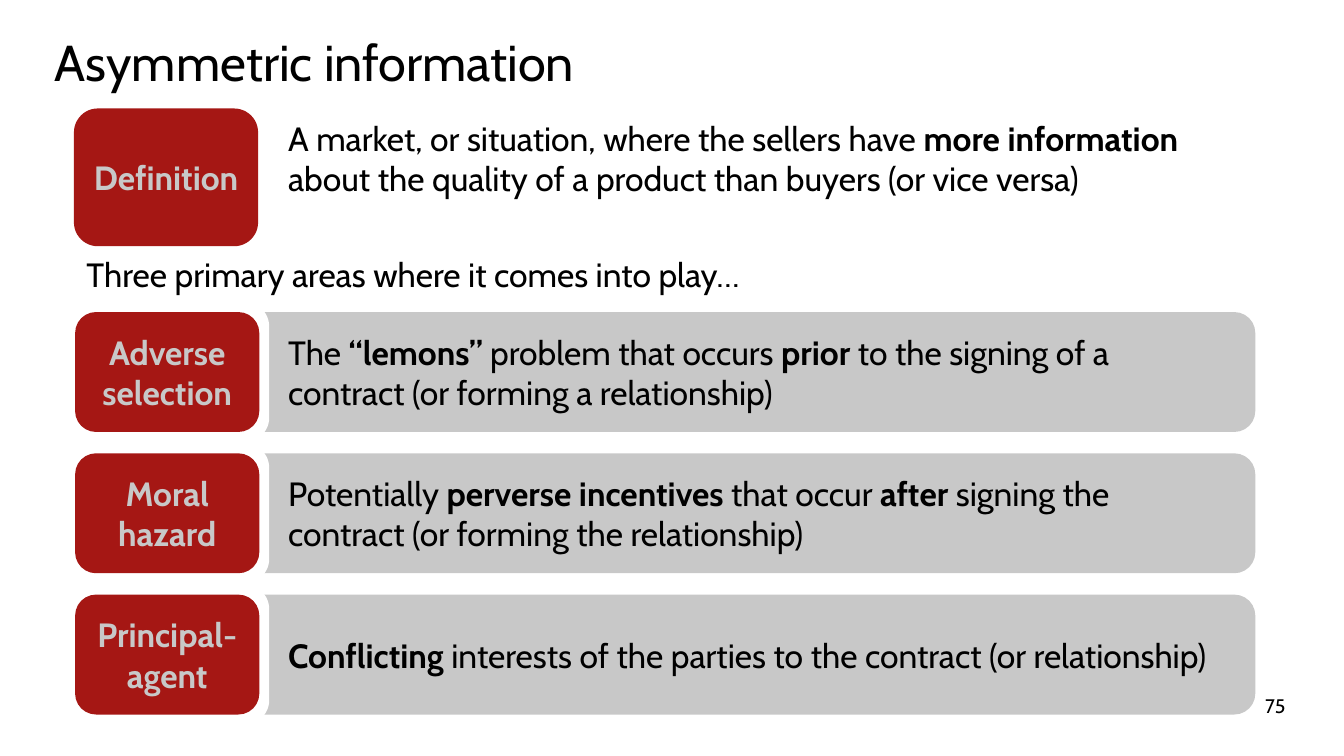
from pptx import Presentation
from pptx.dml.color import RGBColor
from pptx.enum.shapes import MSO_SHAPE
from pptx.enum.text import MSO_ANCHOR, PP_ALIGN
from pptx.util import Cm, Pt

ROUNDED = MSO_SHAPE.ROUNDED_RECTANGLE
MIDDLE, TOP = MSO_ANCHOR.MIDDLE, MSO_ANCHOR.TOP
LEFT, CENTER, RIGHT = PP_ALIGN.LEFT, PP_ALIGN.CENTER, PP_ALIGN.RIGHT

FONT = "Cabin"
BLACK, WHITE, GREY, RED = "000000", "FFFFFF", "C8C8C8", "A51714"

LABEL_LEFT, LABEL_WIDTH = 1.93, 4.57
BAR_LEFT, BAR_WIDTH, BAR_HEIGHT = 5.51, 26.09, 2.95
TEXT_LEFT, TEXT_WIDTH, TEXT_HEIGHT = 7.01, 24.16, 2.31
FIRST_BAR_TOP, BAR_PITCH = 7.9, 3.56
HALO = 0.25

AREAS = [
    ("Adverse selection",
     "The *“lemons” *problem that occurs *prior *to the signing of a "
     "contract (or forming a relationship)"),
    ("Moral hazard",
     "Potentially *perverse incentives *that occur *after *signing the "
     "contract (or forming the relationship)"),
    ("Principal-agent",
     "*Conflicting *interests of the parties to the contract (or relationship)"),
]


def rgb(hex_color):
    return RGBColor.from_string(hex_color)


def write(shape, text, size=24, color=BLACK, align=LEFT, anchor=TOP):
    """Fill a shape with one paragraph; asterisks switch bold on and off."""
    frame = shape.text_frame
    frame.word_wrap = True
    frame.vertical_anchor = anchor
    paragraph = frame.paragraphs[0]
    paragraph.alignment = align
    for index, part in enumerate(text.split("*")):
        if part:
            run = paragraph.add_run()
            run.text = part
            run.font.name = FONT
            run.font.size = Pt(size)
            run.font.bold = index % 2 == 1
            run.font.color.rgb = rgb(color)


def add_text(shapes, text, left, top, width, height, **text_format):
    box = shapes.add_textbox(Cm(left), Cm(top), Cm(width), Cm(height))
    write(box, text, **text_format)


def add_rounded(shapes, color, left, top, width, height):
    shape = shapes.add_shape(ROUNDED, Cm(left), Cm(top), Cm(width), Cm(height))
    shape.shadow.inherit = False
    shape.fill.solid()
    shape.fill.fore_color.rgb = rgb(color)
    shape.line.color.rgb = rgb(color)
    shape.line.width = Pt(2)
    return shape


def add_label(shapes, name, left, top, height):
    label = add_rounded(shapes, RED, left, top, LABEL_WIDTH, height)
    write(label, f"*{name}*", color=GREY, align=CENTER, anchor=MIDDLE)


def add_area(slide, name, explanation, top):
    """Grey bar with its explanation and a red label set off by a white halo."""
    shapes = slide.shapes.add_group_shape().shapes
    add_rounded(shapes, GREY, BAR_LEFT, top, BAR_WIDTH, BAR_HEIGHT)
    add_rounded(shapes, WHITE, LABEL_LEFT - HALO, top - HALO,
                LABEL_WIDTH + 2 * HALO, BAR_HEIGHT + 2 * HALO)
    add_label(shapes, name, LABEL_LEFT, top, BAR_HEIGHT)
    add_text(shapes, explanation, TEXT_LEFT, top + (BAR_HEIGHT - TEXT_HEIGHT) / 2,
             TEXT_WIDTH, TEXT_HEIGHT, anchor=MIDDLE)


def add_definition(slide):
    shapes = slide.shapes.add_group_shape().shapes
    add_text(shapes,
             "A market, or situation, where the sellers have *more information *"
             "about the quality of a product than buyers (or vice versa)",
             TEXT_LEFT, 2.84, TEXT_WIDTH, TEXT_HEIGHT)
    add_label(shapes, "Definition", 1.9, 2.77, 3.4)


def add_title(slide, text):
    title = slide.shapes.title
    title.left, title.top = Cm(1.12), Cm(0.64)
    title.width, title.height = Cm(30.48), Cm(1.8)
    write(title, text, size=36, anchor=MIDDLE)


def main():
    deck = Presentation()
    deck.slide_width, deck.slide_height = Cm(33.87), Cm(19.05)
    title_only = deck.slide_layouts[5]
    slide = deck.slides.add_slide(title_only)

    add_title(slide, "Asymmetric information")
    for row, (name, explanation) in enumerate(AREAS):
        add_area(slide, name, explanation, FIRST_BAR_TOP + row * BAR_PITCH)
    add_definition(slide)
    add_text(slide.shapes, "Three primary areas where it comes into play…",
             LABEL_LEFT, 6.27, 17.75, 1.27)
    add_text(slide.shapes, "75", 31.45, 17.35, 1.2, 1.32, size=14, align=RIGHT)

    deck.save("out.pptx")


if __name__ == "__main__":
    main()
